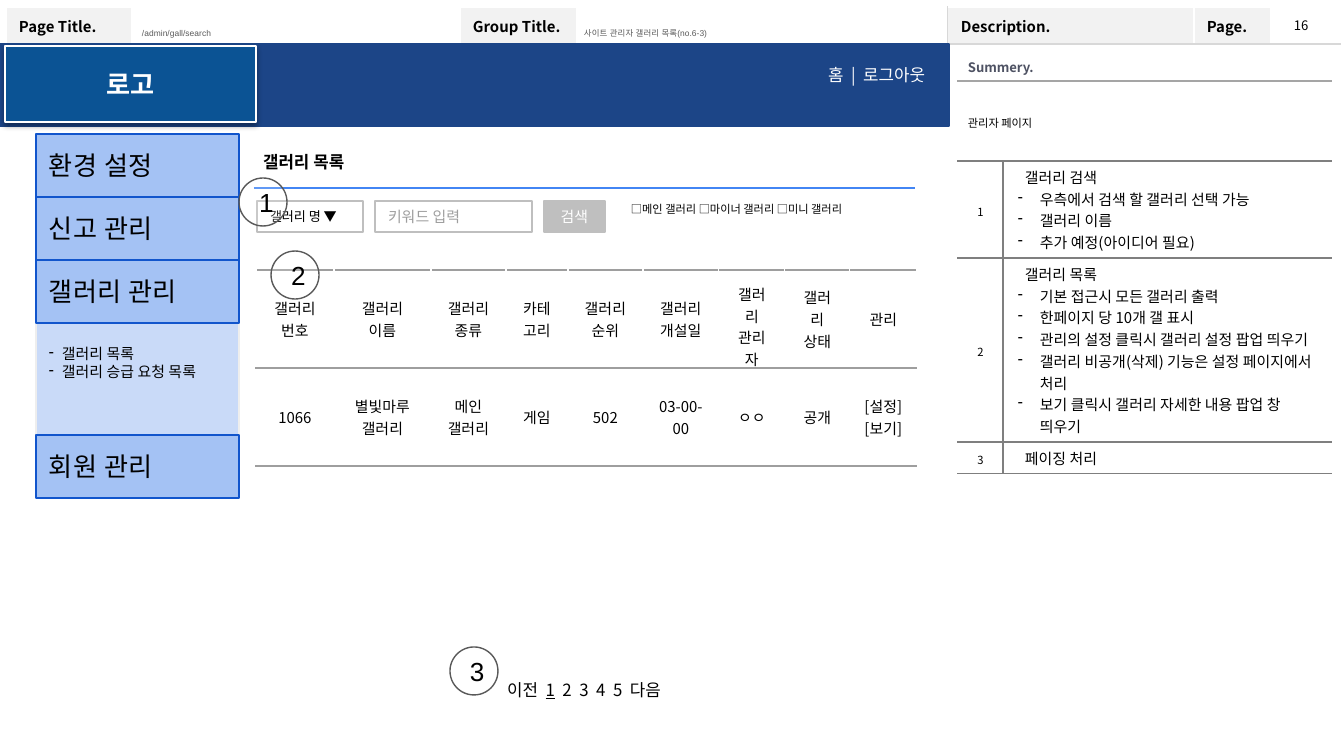
from pptx import Presentation
from pptx.dml.color import RGBColor
from pptx.enum.shapes import MSO_CONNECTOR, MSO_SHAPE
from pptx.enum.text import MSO_ANCHOR, PP_ALIGN
from pptx.oxml.ns import qn
from pptx.util import Emu, Pt
from lxml.etree import SubElement

NOTO = "Noto Sans CJK KR"
LEFT, CENTER, RIGHT = PP_ALIGN.LEFT, PP_ALIGN.CENTER, PP_ALIGN.RIGHT
TOP, MIDDLE = MSO_ANCHOR.TOP, MSO_ANCHOR.MIDDLE
EMU_PER_PX = 914400 / 134.4
SIDE_TAGS = {"l": "a:lnL", "r": "a:lnR", "t": "a:lnT", "b": "a:lnB"}


def px(n):
    return Emu(round(n * EMU_PER_PX))


def rgb(color):
    return RGBColor.from_string(color)


def sub(parent, tag, **attrs):
    return SubElement(parent, qn(tag), {k: str(v) for k, v in attrs.items()})


def format_run(r, size, color="000000", bold=False, font=NOTO):
    r.font.size, r.font.bold, r.font.name = Pt(size), bold, font
    r.font.color.rgb = rgb(color)
    sub(r.font._element, "a:ea", typeface=font)


def write(tf, text, size, color="000000", bold=False, align=LEFT, font=NOTO):
    tf.text = text
    for p in tf.paragraphs:
        p.alignment = align
        for r in p.runs:
            format_run(r, size, color, bold, font)


def set_insets(obj, x, y):
    obj.margin_left = obj.margin_right = px(x)
    obj.margin_top = obj.margin_bottom = px(y)


def indent(p, left, first, bullet=None):
    pPr = p._p.get_or_add_pPr()
    pPr.set("marL", str(px(left)))
    pPr.set("indent", str(px(first)))
    if bullet:
        sub(sub(pPr, "a:buClr"), "a:srgbClr", val="000000")
        sub(pPr, "a:buChar", char=bullet)


def place(sp, x, y, w, h):
    sp.left, sp.top, sp.width, sp.height = px(x), px(y), px(w), px(h)


def add_text(s, box, text, size, anchor=TOP, inset=(13, 13), **style):
    sp = s.shapes.add_textbox(*map(px, box))
    tf = sp.text_frame
    tf.word_wrap, tf.vertical_anchor = True, anchor
    set_insets(tf, *inset)
    write(tf, text, size, **style)
    return sp


def add_box(s, box, fill, line, text="", size=8, shape=MSO_SHAPE.RECTANGLE, **style):
    sp = s.shapes.add_shape(shape, *map(px, box))
    sp.shadow.inherit = False
    sp.fill.solid()
    sp.fill.fore_color.rgb = rgb(fill)
    sp.line.color.rgb, sp.line.width = rgb(line), Pt(0.75)
    tf = sp.text_frame
    tf.vertical_anchor = MIDDLE
    set_insets(tf, 13, 13)
    if text:
        write(tf, text, size, **style)
    return sp


def add_grid(s, x, y, cols, rows):
    tb = s.shapes.add_table(len(rows), len(cols), px(x), px(y), px(sum(cols)), px(sum(rows))).table
    tb.first_row = tb.horz_banding = False
    for col, w in zip(tb.columns, cols):
        col.width = px(w)
    for row, h in zip(tb.rows, rows):
        row.height = px(h)
    return tb


def format_cell(cell, inset, fill=None, **borders):
    cell.vertical_anchor = MIDDLE
    set_insets(cell, *inset)
    tcPr = cell._tc.get_or_add_tcPr()
    for side, tag in SIDE_TAGS.items():
        if side in borders:
            color, width = borders[side]
            ln = sub(tcPr, tag, w=Pt(width))
            sub(sub(ln, "a:solidFill"), "a:srgbClr", val=color)
    if fill:
        cell.fill.solid()
        cell.fill.fore_color.rgb = rgb(fill)
    else:
        cell.fill.background()
    if not cell.text_frame.text:
        cell.text_frame.paragraphs[0]._p.get_or_add_endParaRPr().set("sz", "600")


def build_frame(s, x, y):
    labels = ["Page Title.", "", "Group Title.", "", "Description.", "Page.", ""]
    tb = add_grid(s, x, y, [126, 328, 117, 371, 246, 77, 69], [37, 672])
    tb.cell(1, 0).merge(tb.cell(1, 3))
    tb.cell(1, 4).merge(tb.cell(1, 6))
    white, gray = ("FFFFFF", 1), ("D8D8D8", 0.75)
    for c, label in enumerate(labels):
        left, right = (gray if c == 4 else white), (gray if c == 3 else white)
        head = tb.cell(0, c)
        if label:
            write(head.text_frame, label, 8, bold=True)
        format_cell(head, (13, 7), "F2F2F2" if label else "FFFFFF", l=left, r=right, t=white, b=gray)
        format_cell(tb.cell(1, c), (13, 7), l=left, r=right, t=gray, b=white)
    notes = [(127, 327, "/admin/gall/search"), (569, 367, "사이트 관리자 갤러리 목록(no.6-3)")]
    for dx, w, text in notes:
        sp = add_text(s, (x + dx, y + 15, w, 24), text, 4.5, MIDDLE, (9, 5), color="595959", font="Arial")
        p = sp.text_frame.paragraphs[0]
        p.line_spacing, p.space_after = 0.95, Pt(12)
    add_text(s, (x + 1279, y + 5, 42, 26), "16", 7, inset=(9, 5))


def build_description(s, x, y):
    items = [
        ["갤러리 검색", "우측에서 검색 할 갤러리 선택 가능", "갤러리 이름", "추가 예정(아이디어 필요)"],
        ["갤러리 목록", "기본 접근시 모든 갤러리 출력", "한페이지 당 10개 갤 표시",
         "관리의 설정 클릭시 갤러리 설정 팝업 띄우기",
         "갤러리 비공개(삭제) 기능은 설정 페이지에서 처리",
         "보기 클릭시 갤러리 자세한 내용 팝업 창 띄우기"],
        ["페이징 처리"],
    ]
    tb = add_grid(s, x, y, [45, 328], [29, 80, 97, 184, 32])
    light, dark, inset = ("A5A5A5", 0.75), ("7F7F7F", 0.75), (10, 5)
    for row in range(2):
        tb.cell(row, 0).merge(tb.cell(row, 1))
    write(tb.cell(0, 0).text_frame, "Summery.", 7, "4E5263", True)
    write(tb.cell(1, 0).text_frame, "관리자 페이지", 6, align=PP_ALIGN.JUSTIFY)
    tb.cell(1, 0).text_frame.paragraphs[0].line_spacing = 1.2
    for c in range(2):
        format_cell(tb.cell(0, c), inset, "FFFFFF", b=light)
        format_cell(tb.cell(1, c), inset, "FFFFFF", t=light, b=dark)
    for n, lines in enumerate(items, 1):
        number, detail = tb.cell(n + 1, 0), tb.cell(n + 1, 1)
        write(number.text_frame, str(n), 6, align=CENTER)
        number.text_frame.paragraphs[0].line_spacing = 1.2
        write(detail.text_frame, "\n".join(lines), 8)
        heading, *bullets = detail.text_frame.paragraphs
        indent(heading, 13, -1)
        for p in bullets:
            indent(p, 27, -22, "-")
        format_cell(number, inset, "FFFFFF", r=dark, t=dark, b=dark)
        format_cell(detail, inset, "FFFFFF", l=dark, t=dark, b=dark)


def build_top_bar(s, x, y, w, h):
    add_box(s, (x, y, w, h), "1C4587", "1C4587")
    logo = add_box(s, (x + 5, y + 2, 251, 76), "0B5394", "FFFFFF", "로고", 14,
                   color="FFFFFF", bold=True, align=CENTER)
    effects = logo._element.spPr.find(qn("a:effectLst"))
    shadow = sub(effects, "a:outerShdw", blurRad=Pt(3.1), dist=Pt(1.6), dir=5400000, rotWithShape=0)
    sub(sub(shadow, "a:srgbClr", val="000000"), "a:alpha", val=38000)
    add_text(s, (x + w - 300, y + 11, 289, 47), "홈  |  로그아웃", 9, color="FFFFFF", align=RIGHT)


def build_sidebar(s, x, y, w):
    h = 63
    add_box(s, (x, y + 187, w, 114), "C9DAF8", "EEEEEE")
    sp = add_text(s, (x, y + 198, w, h), "갤러리 목록\n갤러리 승급 요청 목록", 8)
    for p in sp.text_frame.paragraphs:
        indent(p, 13, -22, "-")
    menu = [("환경 설정", 0), ("신고 관리", h), ("갤러리 관리", 2 * h), ("회원 관리", 301)]
    for text, dy in menu:
        add_box(s, (x, y + dy, w, h), "A4C2F4", "1155CC", text, 14, font="Arial")


def build_heading(s, x, y, w):
    title = s.shapes.title
    place(title, x, y, w, 47)
    tf = title.text_frame
    tf.word_wrap, tf.vertical_anchor = True, TOP
    set_insets(tf, 13, 13)
    write(tf, "갤러리 목록", 9, bold=True)
    rule = s.shapes.add_connector(MSO_CONNECTOR.STRAIGHT, px(x + 4), px(y + 49), px(x + 665), px(y + 49))
    rule.line.color.rgb, rule.line.width = rgb("4285F4"), Pt(1.5)
    sub(rule._element.spPr, "a:effectLst")


def build_search(s, x, y, h):
    gray = "BFBFBF"
    add_box(s, (x, y, 106, h), "FFFFFF", gray, "갤러리 명 ▼", 7)
    add_box(s, (x + 118, y, 157, h), "FFFFFF", gray, "키워드 입력", 8, color="9E9E9E")
    add_box(s, (x + 287, y, 61, h), gray, gray, "검색", 8, color="FFFFFF", align=CENTER)
    add_text(s, (x + 361, y - 5, 259, 40), "□메인 갤러리 □마이너 갤러리 □미니 갤러리", 6)


def build_gallery_table(s, x, y):
    rows = [
        ["갤러리 번호", "갤러리 이름", "갤러리 종류", "카테고리", "갤러리 순위",
         "갤러리 개설일", "갤러리 관리자", "갤러리 상태", "관리"],
        ["1066", "별빛마루 갤러리", "메인 갤러리", "게임", "502", "03-00-00", "ㅇㅇ", "공개", "[설정]\n[보기]"],
    ]
    tb = add_grid(s, x, y, [78, 97, 75, 62, 75, 76, 66, 65, 67], [98, 98])
    white, thick, thin = ("FFFFFF", 0.75), ("9E9E9E", 1.5), ("9E9E9E", 0.75)
    for i, (texts, bottom) in enumerate(zip(rows, (thick, thin))):
        for c, text in enumerate(texts):
            write(tb.cell(i, c).text_frame, text, 8, align=CENTER)
            format_cell(tb.cell(i, c), (13, 13), l=white, r=white, t=thick, b=bottom)


def build_paging(s, x, y, w, h):
    sp = add_text(s, (x, y, w, h), "이전  ", 9, MIDDLE, align=CENTER)
    p = sp.text_frame.paragraphs[0]
    for text, underlined in [("1", True), ("  2  3  4  5  다음", False)]:
        r = p.add_run()
        r.text = text
        format_run(r, 9)
        r.font.underline = underlined


def build_marker(s, x, y, number):
    sp = add_box(s, (x, y, 48, 48), "FFFFFF", "595959", str(number), 14, MSO_SHAPE.OVAL, font="Arial")
    sub(sp._element.spPr.find(qn("a:solidFill"))[0], "a:alpha", val=17000)


def main():
    prs = Presentation()
    prs.slide_width, prs.slide_height = px(1344), px(756)
    s = prs.slides.add_slide(prs.slide_layouts[5])
    build_frame(s, 6, 7)
    build_description(s, 958, 52)
    build_top_bar(s, 0, 44, 949, 82)
    build_heading(s, 250, 139, 626)
    build_sidebar(s, 36, 134, 203)
    build_search(s, 257, 201, 31)
    build_gallery_table(s, 256, 270)
    build_paging(s, 470, 660, 228, 59)
    for number, (x, y) in enumerate([(239, 178), (271, 251), (450, 647)], 1):
        build_marker(s, x, y, number)
    prs.save("out.pptx")


if __name__ == "__main__":
    main()
